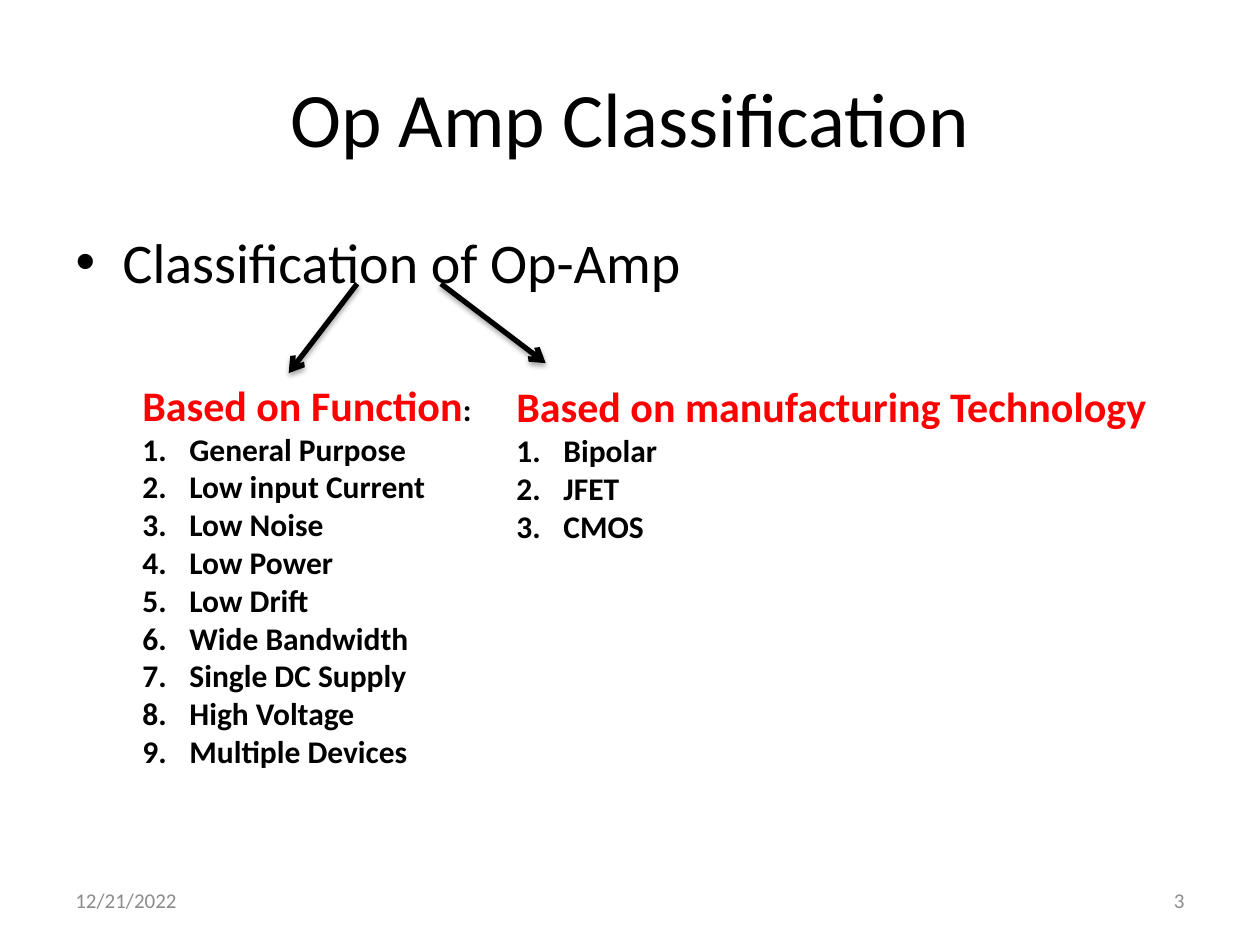
from lxml.etree import SubElement
from pptx import Presentation
from pptx.dml.color import RGBColor
from pptx.enum.shapes import MSO_CONNECTOR
from pptx.enum.text import MSO_ANCHOR, MSO_AUTO_SIZE, PP_ALIGN
from pptx.oxml.ns import qn
from pptx.util import Cm, Pt

BLACK = RGBColor(0x00, 0x00, 0x00)
RED = RGBColor(0xFF, 0x00, 0x00)
GREY = RGBColor(0x8C, 0x8C, 0x8C)

FUNCTIONS = ["General Purpose", "Low input Current", "Low Noise", "Low Power",
             "Low Drift", "Wide Bandwidth", "Single DC Supply", "High Voltage",
             "Multiple Devices"]
TECHNOLOGIES = ["Bipolar", "JFET", "CMOS"]


class Deck:
    font = "Calibri"
    indent = Cm(0.95)

    def __init__(self, prs):
        self.s = prs.slides.add_slide(prs.slide_layouts[1])

    def run(self, p, text, size, color=BLACK, bold=False):
        r = p.add_run()
        r.text = text
        r.font.name = self.font
        r.font.size = Pt(size)
        r.font.bold = bold
        r.font.color.rgb = color

    def bullet(self, p, tag, **attrs):
        """Give the paragraph a hanging indent and a bullet element."""
        pPr = p._p.get_or_add_pPr()
        pPr.set("marL", str(self.indent))
        pPr.set("indent", str(-self.indent))
        SubElement(pPr, qn(tag), **attrs)

    def place(self, sp, x, y, w, h):
        sp.left, sp.top, sp.width, sp.height = Cm(x), Cm(y), Cm(w), Cm(h)

    def title(self, text, *box):
        sp = self.s.shapes.title
        self.place(sp, *box)
        sp.text_frame.vertical_anchor = MSO_ANCHOR.MIDDLE
        p = sp.text_frame.paragraphs[0]
        p.alignment = PP_ALIGN.CENTER
        self.run(p, text, 44)

    def body(self, text, *box):
        sp = self.s.placeholders[1]
        self.place(sp, *box)
        p = sp.text_frame.paragraphs[0]
        self.bullet(p, "a:buChar", char="•")
        p.space_before = Pt(0)
        self.run(p, text, 32)

    def arrow(self, x1, y1, x2, y2):
        c = self.s.shapes.add_connector(MSO_CONNECTOR.STRAIGHT,
                                        Cm(x1), Cm(y1), Cm(x2), Cm(y2))
        c.line.color.rgb = BLACK
        c.line.width = Pt(3)
        SubElement(c.line._get_or_add_ln(), qn("a:tailEnd"), type="arrow")
        effects = SubElement(c._element.spPr, qn("a:effectLst"))
        shadow = SubElement(effects, qn("a:outerShdw"), blurRad=str(Pt(3.1)),
                            dist=str(Pt(1.8)), dir="5400000", rotWithShape="0")
        color = SubElement(shadow, qn("a:srgbClr"), val=str(BLACK))
        SubElement(color, qn("a:alpha"), val="35000")

    def numbered_list(self, heading, items, *box, suffix=""):
        tf = self.s.shapes.add_textbox(*map(Cm, box)).text_frame
        tf.word_wrap = False
        tf.auto_size = MSO_AUTO_SIZE.SHAPE_TO_FIT_TEXT
        p = tf.paragraphs[0]
        self.run(p, heading, 24, RED, bold=True)
        if suffix:
            self.run(p, suffix, 18, bold=True)
        for item in items:
            p = tf.add_paragraph()
            self.bullet(p, "a:buAutoNum", type="arabicPeriod")
            self.run(p, item, 18, bold=True)

    def footer(self, text, x, align):
        tf = self.s.shapes.add_textbox(Cm(x), Cm(17.65), Cm(5.93), Cm(1.01)).text_frame
        tf.word_wrap = True
        tf.vertical_anchor = MSO_ANCHOR.MIDDLE
        p = tf.paragraphs[0]
        p.alignment = align
        self.run(p, text, 12, GREY)


def main():
    prs = Presentation()
    prs.slide_width, prs.slide_height = Cm(25.4), Cm(19.05)
    deck = Deck(prs)
    deck.title("Op Amp Classification", 1.27, 0.76, 22.86, 3.18)
    deck.body("Classification of Op-Amp", 1.27, 4.45, 22.86, 12.57)
    deck.arrow(7.2, 5.72, 5.82, 7.52)
    deck.arrow(8.89, 5.72, 11, 7.32)
    deck.numbered_list("Based on Function", FUNCTIONS, 2.62, 7.52, 7.21, 8.2, suffix=":")
    deck.numbered_list("Based on manufacturing Technology", TECHNOLOGIES,
                       10.16, 7.55, 13.34, 3.58)
    deck.footer("12/21/2022", 1.27, PP_ALIGN.LEFT)
    deck.footer("3", 18.2, PP_ALIGN.RIGHT)
    prs.save("out.pptx")


if __name__ == "__main__":
    main()
